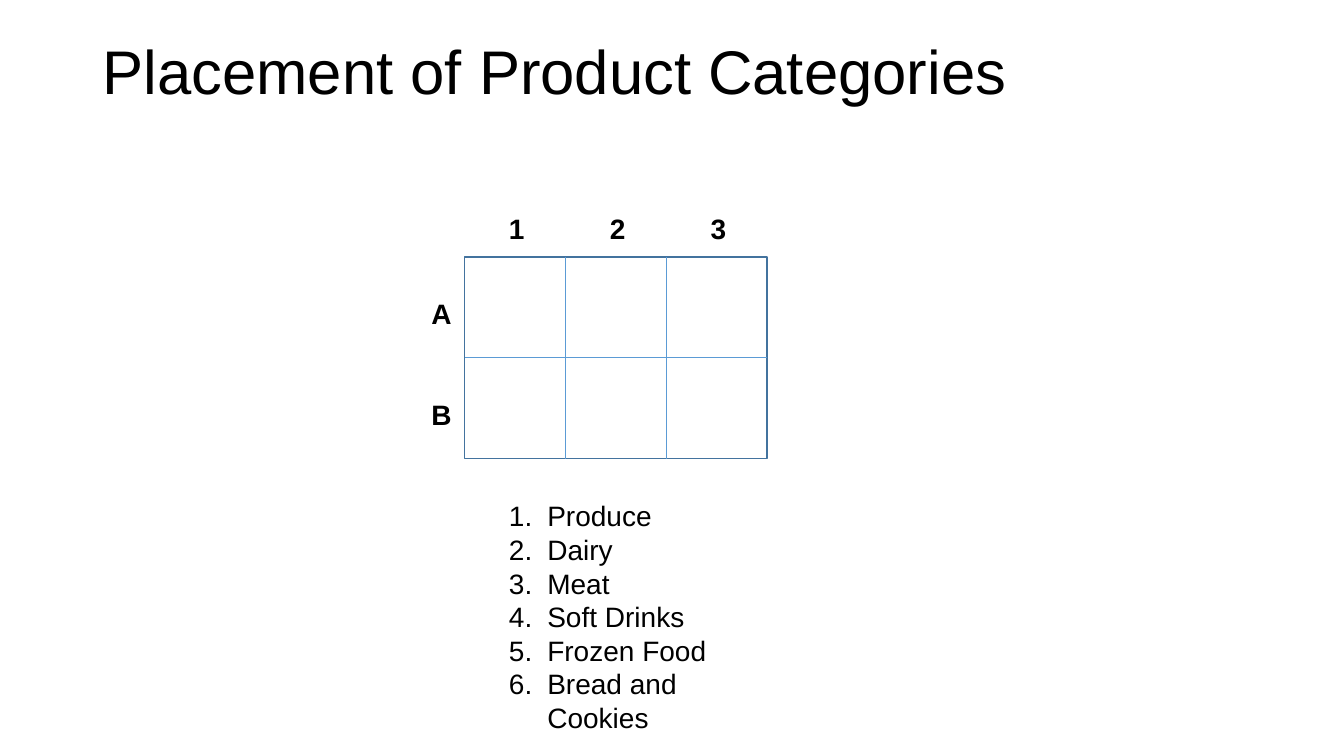
import pptx
import pptx.dml.color
import pptx.enum.shapes
import pptx.enum.text
import pptx.util
from pptx.util import Inches
import lxml.etree

GRID_LEFT, GRID_TOP, CELL = 4.61, 2.55, 1
COLUMNS, ROWS = "123", "AB"
CATEGORIES = ["Produce", "Dairy", "Meat", "Soft Drinks", "Frozen Food", "Bread and Cookies"]


def color(hex_string):
    return pptx.dml.color.RGBColor.from_string(hex_string)


def add_element(parent, name, **attributes):
    tag = pptx.oxml.ns.qn(name)
    return lxml.etree.SubElement(parent, tag, attributes)


def write_text(paragraph, text, size=20, bold=False, spacing=None, numbered=False):
    if numbered:
        properties = paragraph._p.get_or_add_pPr()
        indent = Inches(0.38)
        properties.set("marL", str(indent))
        properties.set("indent", str(-indent))
        add_element(properties, "a:buFont", typeface="+mj-lt")
        add_element(properties, "a:buAutoNum", type="arabicPeriod")
    if spacing:
        paragraph.line_spacing = spacing
    run = paragraph.add_run()
    run.text = text
    run.font.name = "Arial"
    run.font.size = pptx.util.Pt(size)
    run.font.bold = bold
    run.font.color.rgb = color("000000")


class SlideBuilder:
    border_color = "43739E"
    divider_color = "5B9BD5"

    def __init__(self, slide):
        self.slide = slide

    def text_box(self, left, top, width, height, texts, wrap=False, middle=False, **style):
        shape = self.slide.shapes.add_textbox(
            Inches(left), Inches(top), Inches(width), Inches(height))
        frame = shape.text_frame
        frame.word_wrap = wrap
        if middle:
            frame.vertical_anchor = pptx.enum.text.MSO_ANCHOR.MIDDLE
        for index, text in enumerate(texts):
            paragraph = frame.add_paragraph() if index else frame.paragraphs[0]
            write_text(paragraph, text, **style)

    def outline(self, left, top, width, height):
        shape = self.slide.shapes.add_shape(
            pptx.enum.shapes.MSO_SHAPE.RECTANGLE,
            Inches(left), Inches(top), Inches(width), Inches(height))
        shape.shadow.inherit = False
        shape.fill.background()
        shape.line.color.rgb = color(self.border_color)
        shape.line.width = pptx.util.Pt(1)

    def divider(self, x1, y1, x2, y2):
        connector = self.slide.shapes.add_connector(
            pptx.enum.shapes.MSO_CONNECTOR.STRAIGHT,
            Inches(x1), Inches(y1), Inches(x2), Inches(y2))
        connector.line.color.rgb = color(self.divider_color)
        connector.line.width = pptx.util.Pt(0.5)
        add_element(connector._element.spPr, "a:effectLst")


def main():
    presentation = pptx.Presentation()
    presentation.slide_width = Inches(13.33)
    presentation.slide_height = Inches(7.5)
    builder = SlideBuilder(presentation.slides.add_slide(presentation.slide_layouts[6]))

    # Title
    builder.text_box(0.92, 0.01, 11.5, 1.45, ["Placement of Product Categories"],
                     wrap=True, middle=True, size=44, spacing=0.9)

    # Shelf grid
    width, height = len(COLUMNS) * CELL, len(ROWS) * CELL
    right, bottom = GRID_LEFT + width, GRID_TOP + height
    builder.outline(GRID_LEFT, GRID_TOP, width, height)
    for column in range(1, len(COLUMNS)):
        x = GRID_LEFT + column * CELL
        builder.divider(x, GRID_TOP, x, bottom)
    for row in range(1, len(ROWS)):
        y = GRID_TOP + row * CELL
        builder.divider(GRID_LEFT, y, right, y)

    # Row and column labels
    for row, label in enumerate(ROWS):
        builder.text_box(4.18, 2.89 + row * CELL, 0.39, 0.44, [label], bold=True)
    for column, label in enumerate(COLUMNS):
        builder.text_box(4.95 + column * CELL, 2.05, 0.36, 0.44, [label], bold=True)

    # Numbered categories
    builder.text_box(4.95, 4.9, 2.83, 2.12, CATEGORIES, wrap=True, numbered=True)

    presentation.save("out.pptx")


if __name__ == "__main__":
    main()
